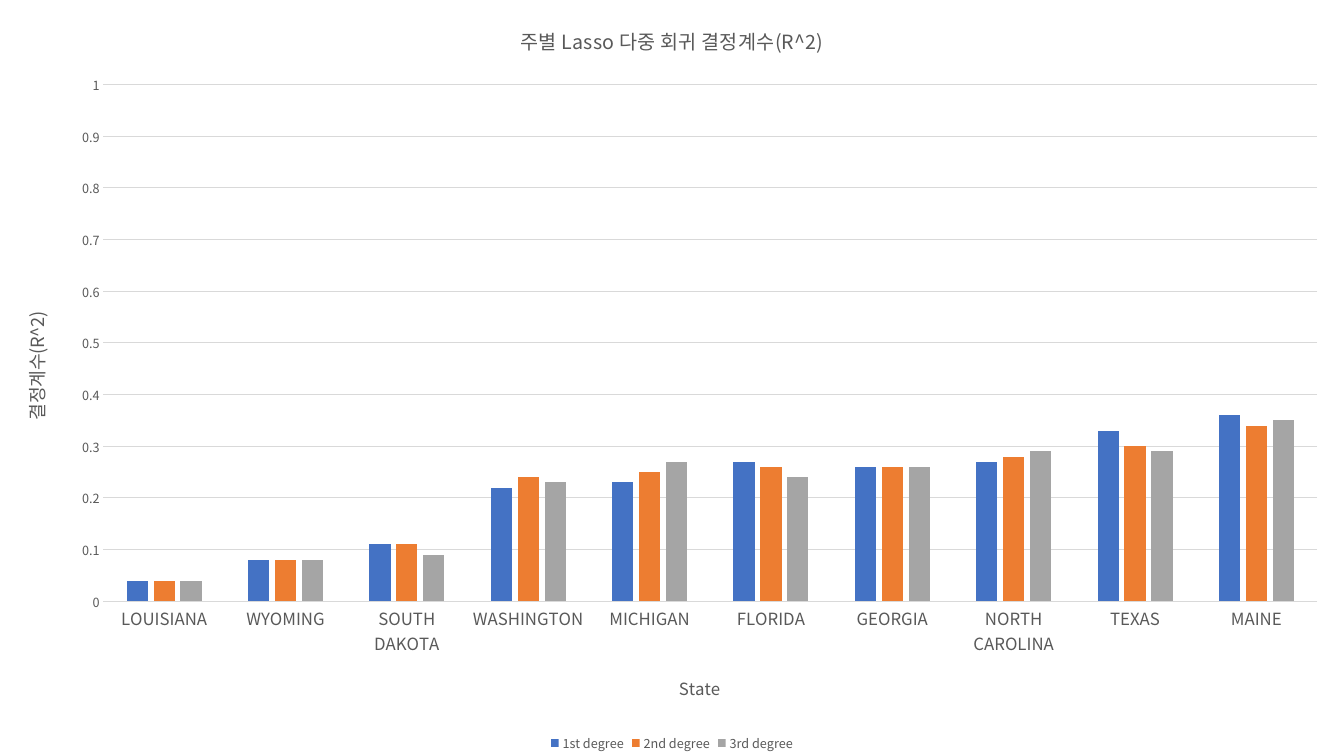
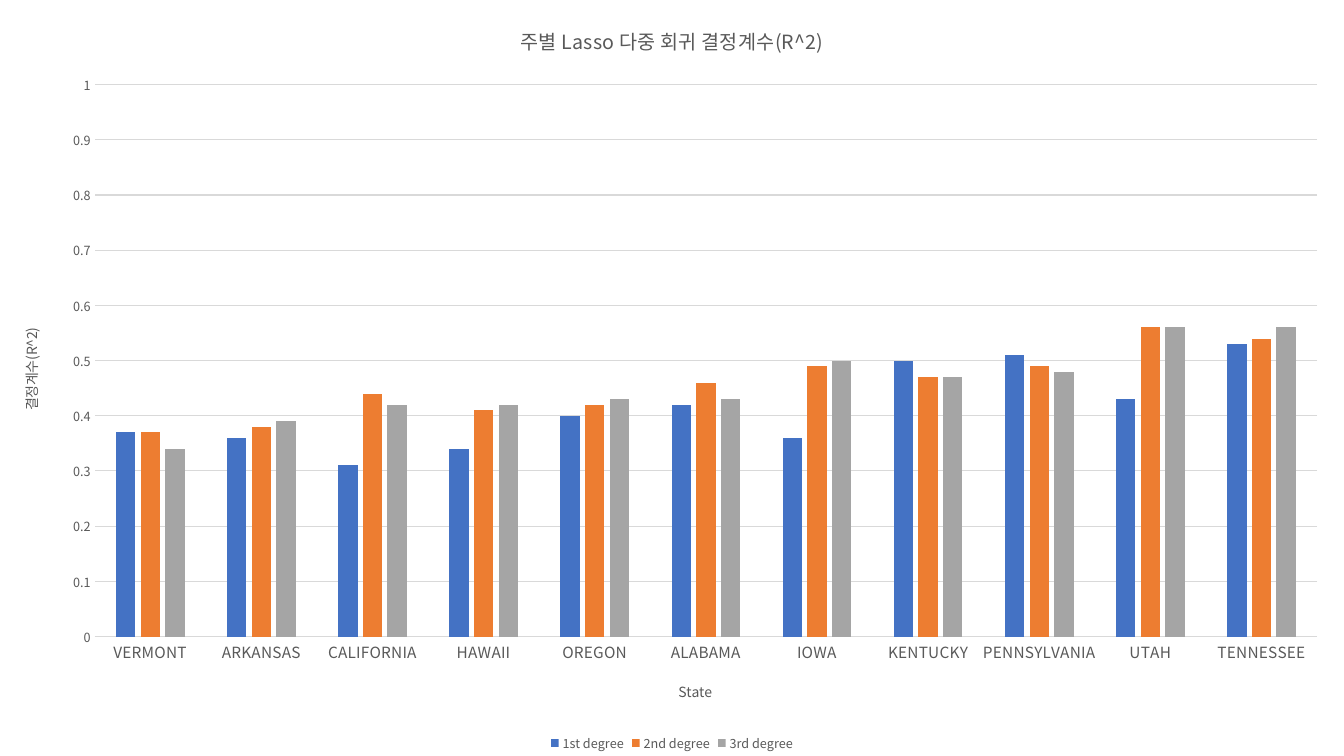
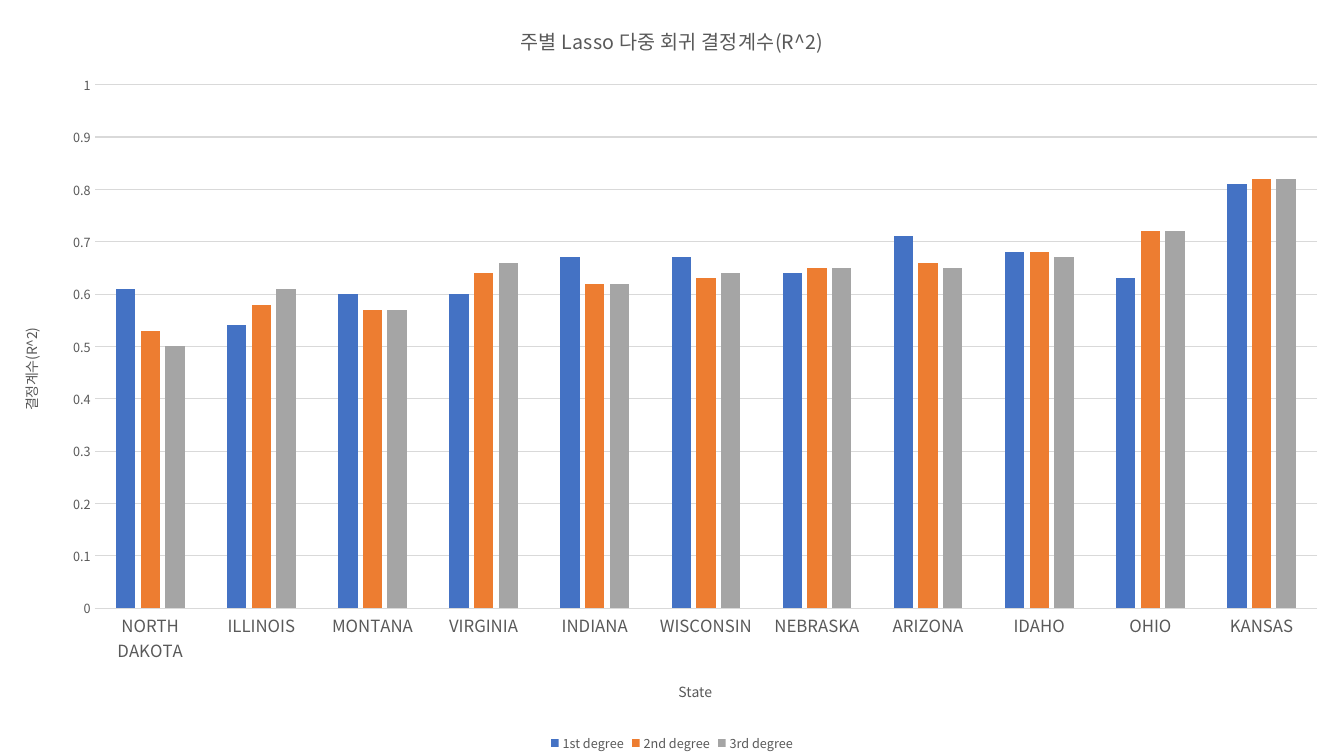
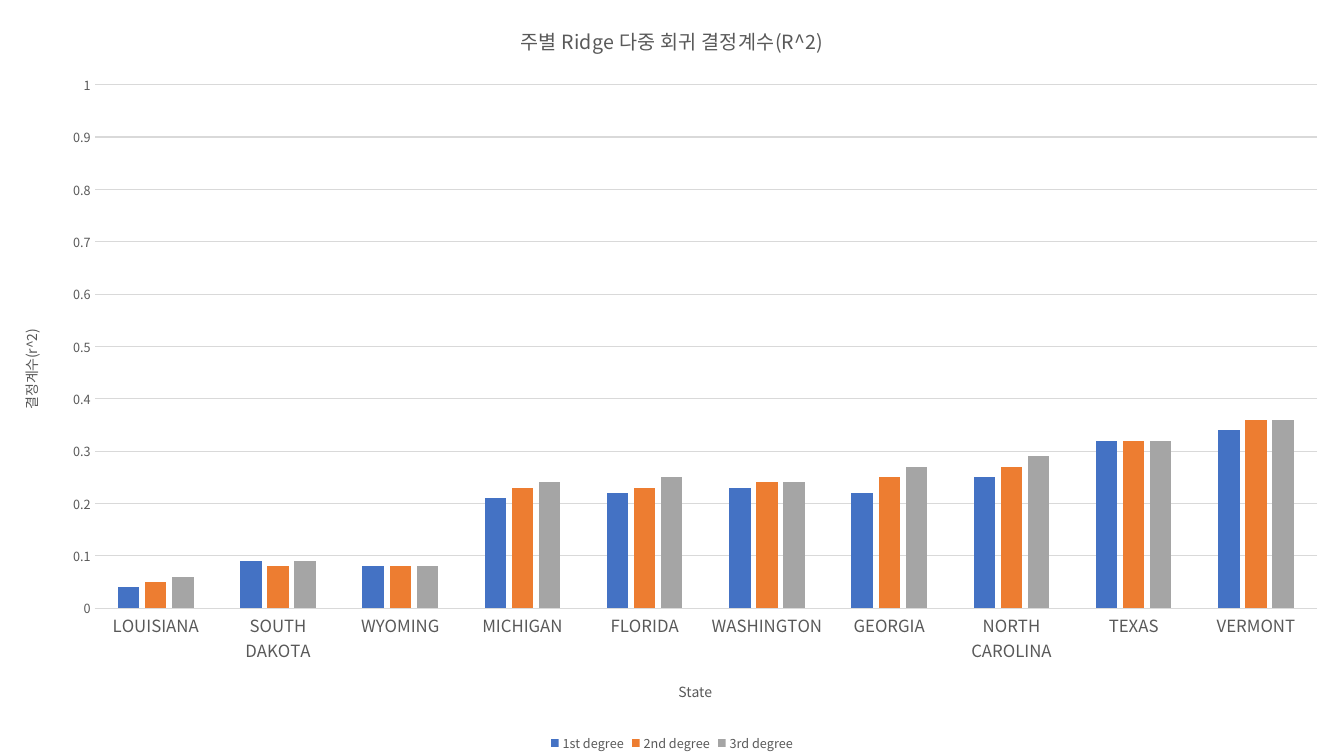
from lxml import etree
from pptx import Presentation
from pptx.chart.data import CategoryChartData as ChartData
from pptx.dml.color import RGBColor as RGB
from pptx.enum.chart import XL_CHART_TYPE as CHART_TYPE
from pptx.enum.chart import XL_LEGEND_POSITION as LEGEND_POS
from pptx.enum.chart import XL_TICK_MARK as TICK
from pptx.oxml.ns import qn
from pptx.util import Inches, Pt

FONT = "Noto Sans CJK KR"
COLORS = {
    "text": "595959",
    "grid": "D9D9D9",
    "1st degree": "4472C4",
    "2nd degree": "ED7D31",
    "3rd degree": "A5A5A5",
}
DEGREES = ["1st degree", "2nd degree", "3rd degree"]


def style_font(font, size, color="text"):
    """Set the typeface, size and colour of a font."""
    font.name = FONT
    font.size = Pt(size)
    font.bold = False
    font.color.rgb = RGB.from_string(COLORS[color])


def write_title(title, text, size=10, rotation=0):
    """Write text into a chart or axis title."""
    tf = title.text_frame
    r = tf.paragraphs[0].add_run()
    r.text = text
    style_font(r.font, size)
    etree.SubElement(r.font._element, qn("a:ea"), typeface=FONT)
    tf._txBody.bodyPr.set("rot", str(rotation * 60000))


slides = [
    {
        "model": "Lasso", "measure": "R^2",
        "state_size": 12, "measure_size": 13, "label_size": 12,
        "rows": [
            ("LOUISIANA", 0.04, 0.04, 0.04),
            ("WYOMING", 0.08, 0.08, 0.08),
            ("SOUTH DAKOTA", 0.11, 0.11, 0.09),
            ("WASHINGTON", 0.22, 0.24, 0.23),
            ("MICHIGAN", 0.23, 0.25, 0.27),
            ("FLORIDA", 0.27, 0.26, 0.24),
            ("GEORGIA", 0.26, 0.26, 0.26),
            ("NORTH CAROLINA", 0.27, 0.28, 0.29),
            ("TEXAS", 0.33, 0.3, 0.29),
            ("MAINE", 0.36, 0.34, 0.35),
        ],
    },
    {
        "model": "Lasso", "measure": "R^2",
        "state_size": 10, "measure_size": 10, "label_size": 11,
        "rows": [
            ("VERMONT", 0.37, 0.37, 0.34),
            ("ARKANSAS", 0.36, 0.38, 0.39),
            ("CALIFORNIA", 0.31, 0.44, 0.42),
            ("HAWAII", 0.34, 0.41, 0.42),
            ("OREGON", 0.4, 0.42, 0.43),
            ("ALABAMA", 0.42, 0.46, 0.43),
            ("IOWA", 0.36, 0.49, 0.5),
            ("KENTUCKY", 0.5, 0.47, 0.47),
            ("PENNSYLVANIA", 0.51, 0.49, 0.48),
            ("UTAH", 0.43, 0.56, 0.56),
            ("TENNESSEE", 0.53, 0.54, 0.56),
        ],
    },
    {
        "model": "Lasso", "measure": "R^2",
        "state_size": 10, "measure_size": 10, "label_size": 12,
        "rows": [
            ("NORTH DAKOTA", 0.61, 0.53, 0.5),
            ("ILLINOIS", 0.54, 0.58, 0.61),
            ("MONTANA", 0.6, 0.57, 0.57),
            ("VIRGINIA", 0.6, 0.64, 0.66),
            ("INDIANA", 0.67, 0.62, 0.62),
            ("WISCONSIN", 0.67, 0.63, 0.64),
            ("NEBRASKA", 0.64, 0.65, 0.65),
            ("ARIZONA", 0.71, 0.66, 0.65),
            ("IDAHO", 0.68, 0.68, 0.67),
            ("OHIO", 0.63, 0.72, 0.72),
            ("KANSAS", 0.81, 0.82, 0.82),
        ],
    },
    {
        "model": "Ridge", "measure": "r^2",
        "state_size": 10, "measure_size": 10, "label_size": 12,
        "rows": [
            ("LOUISIANA", 0.04, 0.05, 0.06),
            ("SOUTH DAKOTA", 0.09, 0.08, 0.09),
            ("WYOMING", 0.08, 0.08, 0.08),
            ("MICHIGAN", 0.21, 0.23, 0.24),
            ("FLORIDA", 0.22, 0.23, 0.25),
            ("WASHINGTON", 0.23, 0.24, 0.24),
            ("GEORGIA", 0.22, 0.25, 0.27),
            ("NORTH CAROLINA", 0.25, 0.27, 0.29),
            ("TEXAS", 0.32, 0.32, 0.32),
            ("VERMONT", 0.34, 0.36, 0.36),
        ],
    },
]

prs = Presentation()
prs.slide_width = Inches(13.33)
prs.slide_height = Inches(7.5)

for page in slides:
    s = prs.slides.add_slide(prs.slide_layouts[6])
    states, *scores = zip(*page["rows"])
    data = ChartData()
    data.categories = states
    for degree, values in zip(DEGREES, scores):
        data.add_series(degree, values)
    chart = s.shapes.add_chart(
        CHART_TYPE.COLUMN_CLUSTERED, 0, 0, prs.slide_width, prs.slide_height, data
    ).chart
    style_font(chart.font, 10)

    # Titles
    chart.has_title = True
    write_title(chart.chart_title, f"주별 {page['model']} 다중 회귀 결정계수(R^2)", 14)
    chart.chart_title.include_in_layout = False
    state_axis, score_axis = chart.category_axis, chart.value_axis
    write_title(state_axis.axis_title, "State", page["state_size"])
    write_title(score_axis.axis_title, f"결정계수({page['measure']})",
                page["measure_size"], rotation=-90)

    # Axes
    score_axis.minimum_scale = 0
    score_axis.maximum_scale = 1
    score_axis.major_unit = 0.1
    score_axis.tick_labels.number_format = "General"
    score_axis.tick_labels.number_format_is_linked = False
    score_axis.format.line.fill.background()
    for axis, size in ((state_axis, page["label_size"]), (score_axis, 9)):
        axis.major_tick_mark = axis.minor_tick_mark = TICK.NONE
        style_font(axis.tick_labels.font, size)
    for line in (state_axis.format.line, score_axis.major_gridlines.format.line):
        line.width = Pt(0.75)
        line.color.rgb = RGB.from_string(COLORS["grid"])

    # Columns
    plot = chart.plots[0]
    plot.gap_width = 219
    plot.overlap = -27
    plot.vary_by_categories = False
    for series in plot.series:
        series.format.fill.solid()
        series.format.fill.fore_color.rgb = RGB.from_string(COLORS[series.name])

    # Legend
    chart.has_legend = True
    chart.legend.position = LEGEND_POS.BOTTOM
    chart.legend.include_in_layout = False
    style_font(chart.legend.font, 9)

prs.save("out.pptx")
